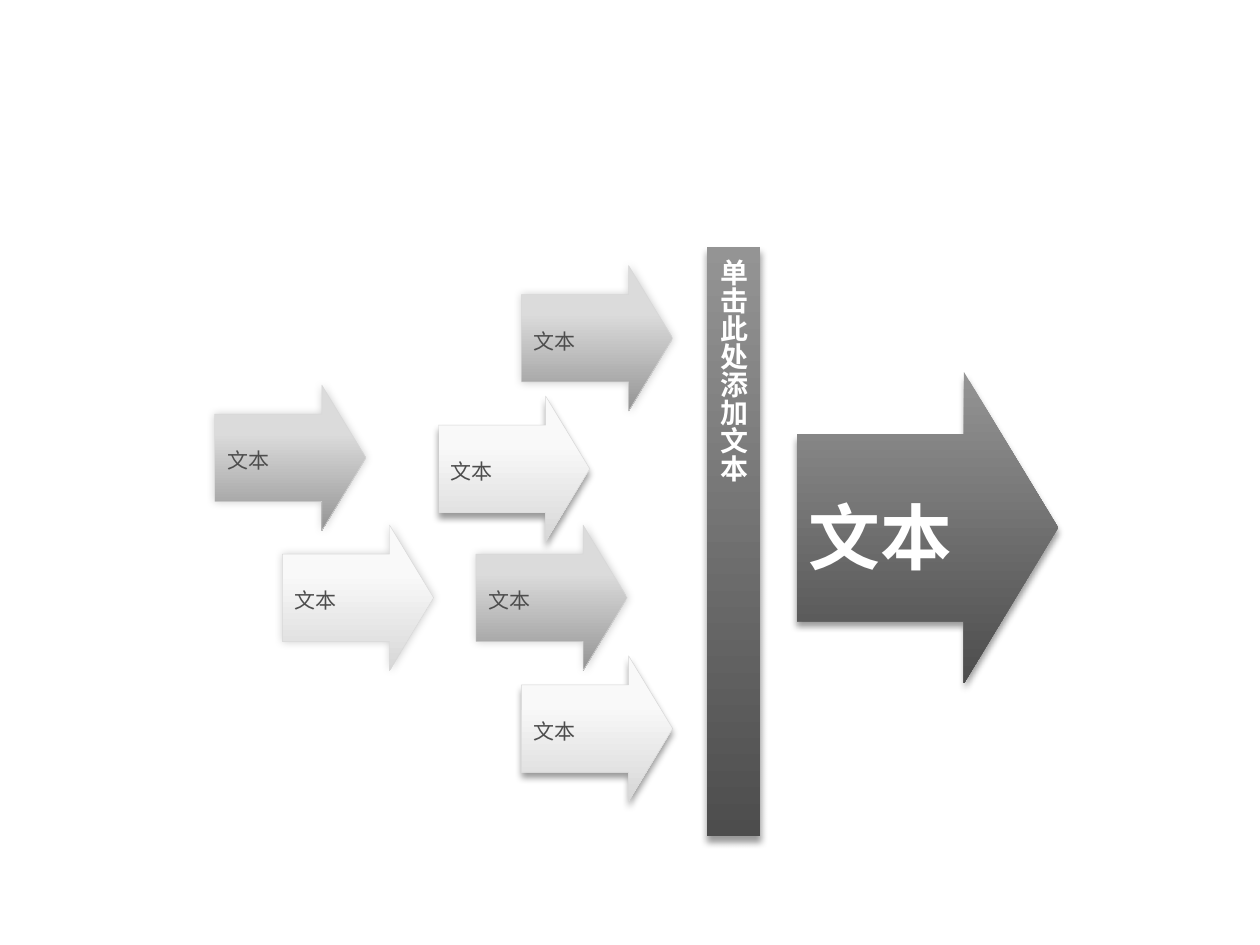
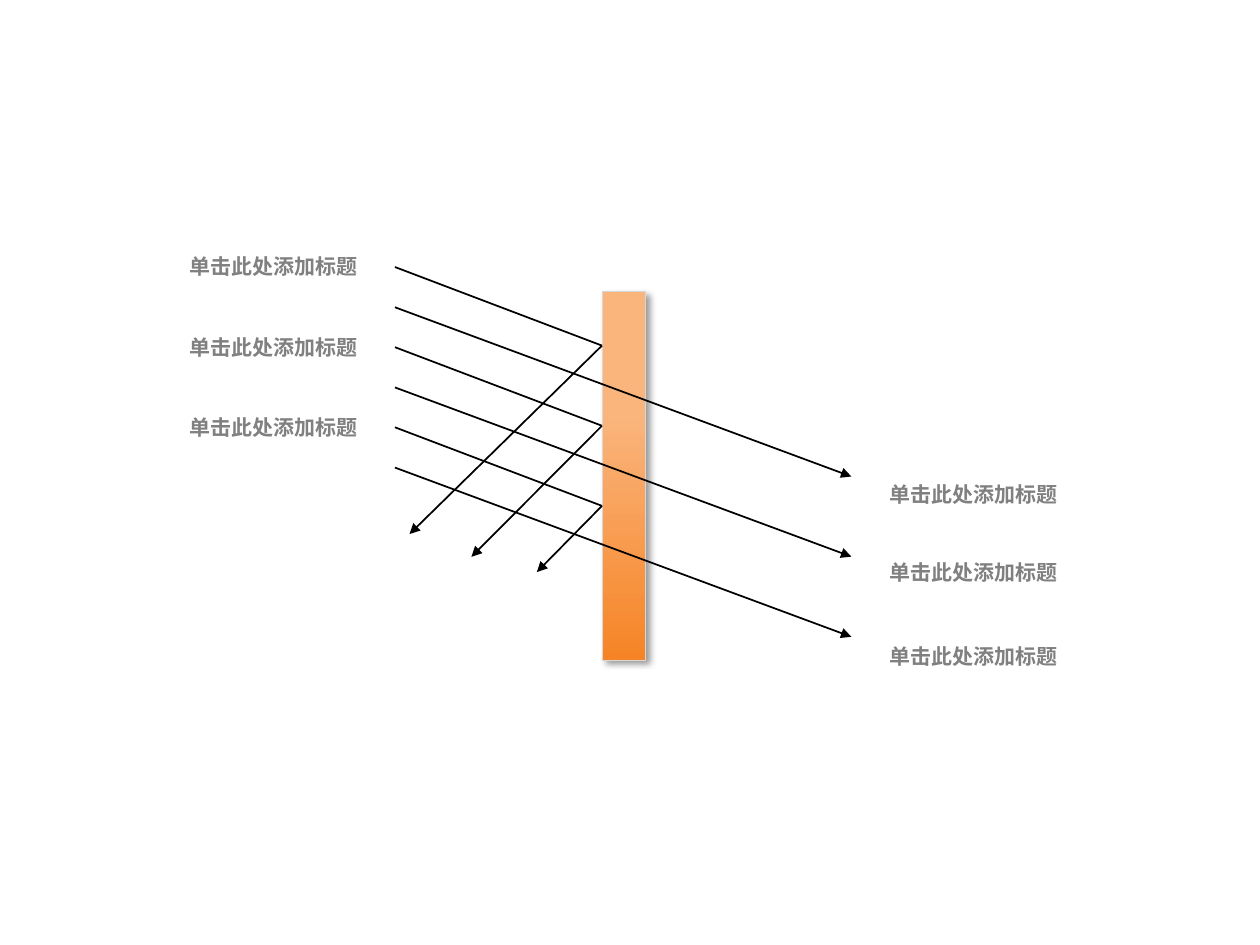
"""Build two diagram slides: converging arrows and rays meeting a barrier."""
from typing import NamedTuple

from lxml.etree import SubElement
from pptx import Presentation
from pptx.dml.color import RGBColor
from pptx.enum.shapes import MSO_CONNECTOR, MSO_SHAPE
from pptx.enum.text import MSO_ANCHOR, MSO_AUTO_SIZE, PP_ALIGN
from pptx.oxml.ns import qn
from pptx.util import Pt

FONT = "Noto Sans CJK SC"
WHITE, BLACK = "FFFFFF", "000000"
DARK_TEXT, LABEL_TEXT, EDGE = "4D4D4D", "808080", "D7D7D7"


class Shadow(NamedTuple):
    opacity: int
    blur: float
    distance: float
    angle: int


class Gradient(NamedTuple):
    top: str
    bottom: str
    start: float = 0.33


class TextStyle(NamedTuple):
    size: float
    color: str
    bold: bool = False


class BlockArrow(NamedTuple):
    left: float
    top: float
    gradient: Gradient
    shadow: Shadow
    style: TextStyle = TextStyle(12, DARK_TEXT)
    width: float = 86.4
    height: float = 83.2
    neck: float = 61.2
    edge: str | None = EDGE


class Ray(NamedTuple):
    start: tuple[float, float]
    end: tuple[float, float]
    arrowhead: bool = True


DROP = Shadow(40, 4, 3, 90)
SIDE_DROP = Shadow(40, 4, 3, 45)
GLOW = Shadow(20, 5, 0, 0)
CHARCOAL = Gradient("949494", "4D4D4D", 0)
SILVER = Gradient("DBDBDB", "949494")
PALE = Gradient("F9F9F9", "D7D7D7")
ORANGE = Gradient("FAB57D", "F68426")

BLOCK_ARROWS = [
    BlockArrow(455.2, 212.5, CHARCOAL, DROP, TextStyle(41, WHITE, True),
               149.4, 178, 95.6, None),
    BlockArrow(298, 151.7, SILVER, GLOW),
    BlockArrow(250.6, 226.3, PALE, DROP),
    BlockArrow(272, 300, SILVER, GLOW),
    BlockArrow(298, 374.7, PALE, DROP),
    BlockArrow(122.7, 220, SILVER, GLOW),
    BlockArrow(161.4, 300, PALE, GLOW),
]

ROW_PITCH = 45.8
RAY_LEFT, BARRIER_LEFT, RAY_RIGHT = 225.7, 344, 486.5
REFLECTED_ENDS = [(234, 305.2), (269.4, 318.2), (306.8, 326.9)]
SOURCE_LABEL_LEFT, SOURCE_LABEL_TOP = 86.8, 141.6
TARGET_LABEL_LEFT, TARGET_LABEL_TOPS = 486.7, [271.4, 316, 364.2]


def rgb(color: str) -> RGBColor:
    """Turn a hex string into a colour."""
    return RGBColor.from_string(color)


def paint(shape, gradient: Gradient, shadow: Shadow, edge: str | None) -> None:
    """Give a shape its vertical gradient, outline and outer shadow."""
    shape.fill.gradient()
    shape.fill.gradient_angle = 270
    first, last = shape.fill.gradient_stops
    first.position, last.position = gradient.start, 1
    first.color.rgb, last.color.rgb = rgb(gradient.top), rgb(gradient.bottom)
    if edge:
        shape.line.color.rgb = rgb(edge)
        shape.line.width = Pt(0.25)
    else:
        shape.line.fill.background()
    shape.shadow.inherit = False
    effects = shape._element.spPr.find(qn("a:effectLst"))
    outer = SubElement(effects, qn("a:outerShdw"), blurRad=str(Pt(shadow.blur)),
                       dist=str(Pt(shadow.distance)), dir=str(shadow.angle * 60000),
                       algn="ctr", rotWithShape="0")
    color = SubElement(outer, qn("a:srgbClr"), val=BLACK)
    SubElement(color, qn("a:alpha"), val=str(shadow.opacity * 1000))


def write(shape, text: str, style: TextStyle, alignment: PP_ALIGN,
          line_spacing: float | None = None) -> None:
    """Write one formatted run into a shape."""
    frame = shape.text_frame
    frame.word_wrap = True
    paragraph = frame.paragraphs[0]
    paragraph.alignment = alignment
    paragraph.line_spacing = line_spacing
    run = paragraph.add_run()
    run.text = text
    run.font.size = Pt(style.size)
    run.font.bold = style.bold
    run.font.color.rgb = rgb(style.color)
    run.font.name = FONT
    SubElement(run.font._element, qn("a:ea"), typeface=FONT)


def add_block_arrow(slide, arrow: BlockArrow) -> None:
    """Draw a labelled block arrow pointing right."""
    right, neck = arrow.left + arrow.width, arrow.left + arrow.neck
    shoulder, tip, lower, bottom = (
        arrow.top + arrow.height * part for part in (0.2, 0.5, 0.8, 1))
    outline = [(neck, shoulder), (neck, arrow.top), (right, tip),
               (neck, bottom), (neck, lower), (arrow.left, lower)]
    builder = slide.shapes.build_freeform(Pt(arrow.left), Pt(shoulder))
    builder.add_line_segments([(Pt(x), Pt(y)) for x, y in outline], close=True)
    shape = builder.convert_to_shape()
    paint(shape, arrow.gradient, arrow.shadow, arrow.edge)
    shape.text_frame.vertical_anchor = MSO_ANCHOR.MIDDLE
    write(shape, "文本", arrow.style, PP_ALIGN.LEFT, 1.2)


def add_bar(slide, left: float, top: float, width: float, height: float,
            gradient: Gradient, shadow: Shadow, edge: str | None):
    """Draw an upright gradient bar."""
    bar = slide.shapes.add_shape(MSO_SHAPE.RECTANGLE, Pt(left), Pt(top),
                                 Pt(width), Pt(height))
    paint(bar, gradient, shadow, edge)
    return bar


def add_ray(slide, ray: Ray) -> None:
    """Draw a thin black line, with an arrowhead if the ray ends there."""
    connector = slide.shapes.add_connector(
        MSO_CONNECTOR.STRAIGHT, *map(Pt, ray.start + ray.end))
    connector.line.color.rgb = rgb(BLACK)
    connector.line.width = Pt(1)
    if ray.arrowhead:
        SubElement(connector.line._get_or_add_ln(), qn("a:tailEnd"), type="triangle")
    SubElement(connector._element.spPr, qn("a:effectLst"))


def add_label(slide, left: float, top: float) -> None:
    """Place a centred grey caption."""
    label = slide.shapes.add_textbox(Pt(left), Pt(top), Pt(139), Pt(22.3))
    write(label, "单击此处添加标题", TextStyle(12, LABEL_TEXT, True), PP_ALIGN.CENTER)
    label.text_frame.auto_size = MSO_AUTO_SIZE.SHAPE_TO_FIT_TEXT


def build_arrows_slide(slide) -> None:
    """Draw arrows converging on a bar, with one large arrow leaving it."""
    bar = add_bar(slide, 404, 141.1, 30.5, 336.8, CHARCOAL, DROP, None)
    bar.text_frame.vertical_anchor = MSO_ANCHOR.MIDDLE
    write(bar, "单击此处添加文本", TextStyle(16, WHITE, True), PP_ALIGN.CENTER)
    bar.text_frame._txBody.bodyPr.set("vert", "eaVert")
    for arrow in BLOCK_ARROWS:
        add_block_arrow(slide, arrow)


def build_rays_slide(slide) -> None:
    """Draw rays that pass through a barrier or bounce off it."""
    add_bar(slide, BARRIER_LEFT, 166.4, 25, 210.8, ORANGE, SIDE_DROP, EDGE)
    for row, (reflected_end, target_top) in enumerate(
            zip(REFLECTED_ENDS, TARGET_LABEL_TOPS)):
        offset = row * ROW_PITCH
        hit = (BARRIER_LEFT, 197.5 + offset)
        add_ray(slide, Ray((RAY_LEFT, 175.6 + offset), (RAY_RIGHT, 272.3 + offset)))
        add_ray(slide, Ray((RAY_LEFT, 152.6 + offset), hit, False))
        add_ray(slide, Ray(hit, reflected_end))
        add_label(slide, SOURCE_LABEL_LEFT, SOURCE_LABEL_TOP + offset)
        add_label(slide, TARGET_LABEL_LEFT, target_top)


def main() -> None:
    """Build and save the presentation."""
    presentation = Presentation()
    presentation.slide_width, presentation.slide_height = Pt(720), Pt(540)
    blank = presentation.slide_layouts[6]
    for build in (build_arrows_slide, build_rays_slide):
        build(presentation.slides.add_slide(blank))
    presentation.save("out.pptx")


if __name__ == "__main__":
    main()
